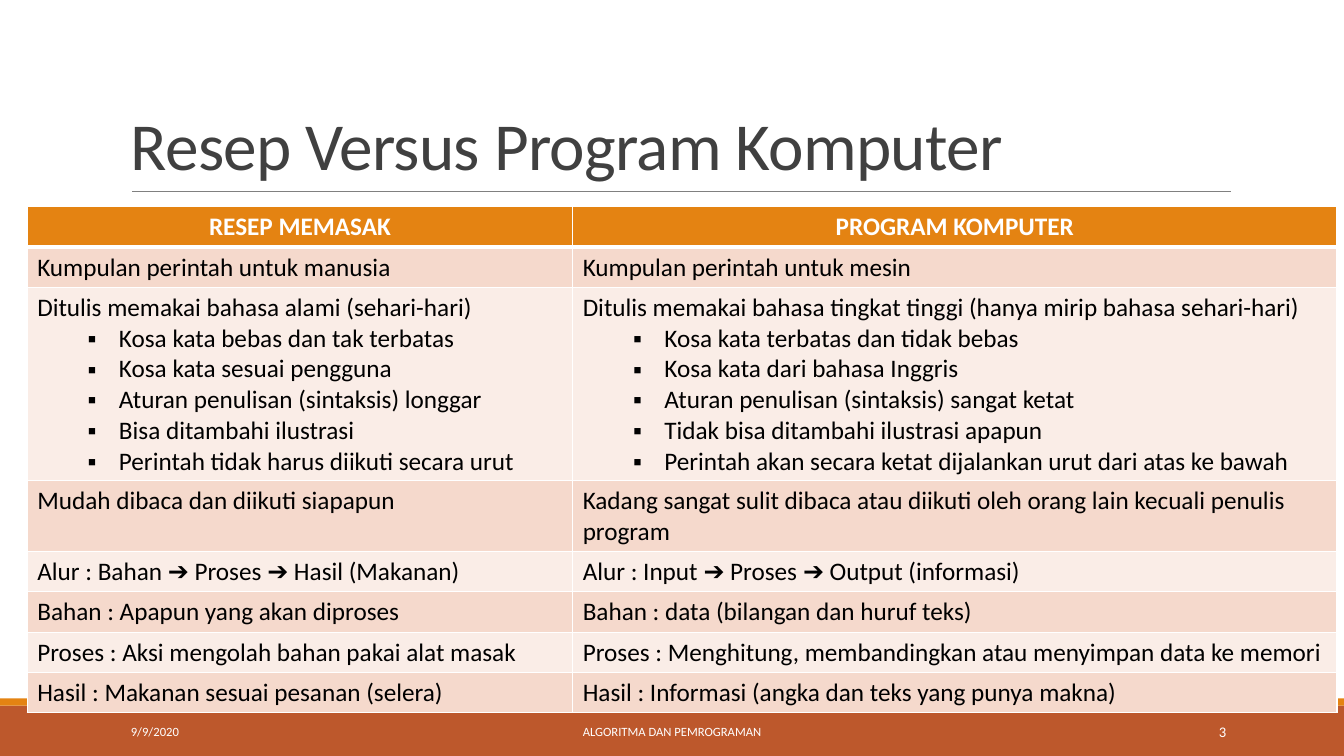
from lxml.etree import SubElement
from pptx import Presentation
from pptx.dml.color import RGBColor
from pptx.enum.shapes import MSO_CONNECTOR, MSO_SHAPE
from pptx.enum.text import MSO_ANCHOR, PP_ALIGN
from pptx.oxml.ns import qn
from pptx.util import Inches, Pt

FONT = "Calibri"
WHITE = RGBColor(0xFF, 0xFF, 0xFF)
BLACK = RGBColor(0, 0, 0)
TITLE_GREY = RGBColor(0x40, 0x40, 0x40)
RULE_GREY = RGBColor(0x80, 0x80, 0x80)
ORANGE = RGBColor(0xE4, 0x83, 0x12)
RUST = RGBColor(0xBD, 0x58, 0x2C)
BANDS = [RGBColor(0xFA, 0xED, 0xE7), RGBColor(0xF5, 0xD9, 0xCC)]

# Each row pairs the recipe with the program; extra list items are bullets
COMPARISON = [
    (["RESEP MEMASAK"], ["PROGRAM KOMPUTER"]),
    (["Kumpulan perintah untuk manusia"], ["Kumpulan perintah untuk mesin"]),
    (["Ditulis memakai bahasa alami (sehari-hari)",
      "Kosa kata bebas dan tak terbatas",
      "Kosa kata sesuai pengguna",
      "Aturan penulisan (sintaksis) longgar",
      "Bisa ditambahi ilustrasi",
      "Perintah tidak harus diikuti secara urut"],
     ["Ditulis memakai bahasa tingkat tinggi (hanya mirip bahasa sehari-hari)",
      "Kosa kata terbatas dan tidak bebas",
      "Kosa kata dari bahasa Inggris",
      "Aturan penulisan (sintaksis) sangat ketat",
      "Tidak bisa ditambahi ilustrasi apapun",
      "Perintah akan secara ketat dijalankan urut dari atas ke bawah"]),
    (["Mudah dibaca dan diikuti siapapun"],
     ["Kadang sangat sulit dibaca atau diikuti oleh orang lain kecuali penulis program"]),
    (["Alur : Bahan ➔ Proses ➔ Hasil (Makanan)"],
     ["Alur : Input ➔ Proses ➔ Output (informasi)"]),
    (["Bahan : Apapun yang akan diproses"],
     ["Bahan : data (bilangan dan huruf teks)"]),
    (["Proses : Aksi mengolah bahan pakai alat masak"],
     ["Proses : Menghitung, membandingkan atau menyimpan data ke memori"]),
    (["Hasil : Makanan sesuai pesanan (selera)"],
     ["Hasil : Informasi (angka dan teks yang punya makna)"]),
]
ROW_HEIGHTS = [0.4, 0.4, 1.92, 0.7, 0.4, 0.4, 0.4, 0.4]
COLUMN_WIDTHS = [5.41, 7.58]


def add_run(paragraph, text, size, color, bold=False):
    run = paragraph.add_run()
    run.text = text
    run.font.name = FONT
    run.font.size = Pt(size)
    run.font.bold = bold
    run.font.color.rgb = color
    return run


def add_text(slide, box, text, size, color, align=PP_ALIGN.LEFT, anchor=MSO_ANCHOR.MIDDLE):
    frame = slide.shapes.add_textbox(*map(Inches, box)).text_frame
    frame.word_wrap = True
    frame.vertical_anchor = anchor
    paragraph = frame.paragraphs[0]
    paragraph.alignment = align
    return paragraph, add_run(paragraph, text, size, color)


def add_bar(slide, box, color):
    bar = slide.shapes.add_shape(MSO_SHAPE.RECTANGLE, *map(Inches, box))
    bar.shadow.inherit = False
    bar.fill.solid()
    bar.fill.fore_color.rgb = color
    bar.line.fill.background()


def add_footer(slide, left, top, width, height):
    # Bars
    add_bar(slide, (left, top + 0.07, width, height - 0.07), RUST)
    add_bar(slide, (left, top, width, 0.07), ORANGE)
    # Date, course and page number
    for offset, field_width, text, size, align in [
            (1.2, 2.7, "9/9/2020", 9, PP_ALIGN.LEFT),
            (4.03, 5.27, "ALGORITMA DAN PEMROGRAMAN", 9, PP_ALIGN.CENTER),
            (10.83, 1.43, "3", 10.5, PP_ALIGN.RIGHT)]:
        add_text(slide, (left + offset, top + 0.13, field_width, 0.4), text, size, WHITE, align)


def add_title(slide, left, top, width, height):
    paragraph, run = add_text(slide, (left, top, width, height),
                              "Resep Versus Program Komputer", 48, TITLE_GREY,
                              anchor=MSO_ANCHOR.BOTTOM)
    paragraph.line_spacing = 0.85
    run.font._element.set("spc", "-50")
    # Rule under the title
    rule_y = Inches(top + height + 0.02)
    rule = slide.shapes.add_connector(MSO_CONNECTOR.STRAIGHT, Inches(left + 0.11), rule_y,
                                      Inches(left + width + 0.01), rule_y)
    rule.line.color.rgb = RULE_GREY
    rule.line.width = Pt(0.5)
    SubElement(rule._element.spPr, qn("a:effectLst"))


def set_borders(cell, row):
    # Thick line between the header and the body
    widths = {"L": 1, "R": 1, "T": 3 if row == 1 else 1, "B": 3 if row == 0 else 1}
    for side, width in widths.items():
        line = SubElement(cell._tc.get_or_add_tcPr(), qn(f"a:ln{side}"), w=str(Pt(width)))
        SubElement(SubElement(line, qn("a:solidFill")), qn("a:srgbClr"), val=str(WHITE))


def add_bullet(paragraph):
    paragraph.level = 1
    properties = paragraph._p.get_or_add_pPr()
    properties.set("marL", str(Inches(0.81)))
    properties.set("indent", str(Inches(-0.31)))
    SubElement(properties, qn("a:buFont"), typeface="Arial")
    SubElement(properties, qn("a:buChar"), char="▪")


def fill_cell(cell, row, lines):
    header = row == 0
    set_borders(cell, row)
    cell.fill.solid()
    cell.fill.fore_color.rgb = ORANGE if header else BANDS[row % 2]
    frame = cell.text_frame
    for index, text in enumerate(lines):
        paragraph = frame.add_paragraph() if index else frame.paragraphs[0]
        if index:
            add_bullet(paragraph)
        if header:
            paragraph.alignment = PP_ALIGN.CENTER
        add_run(paragraph, text, 18, WHITE if header else BLACK, header)


def add_comparison(slide, left, top):
    table = slide.shapes.add_table(
        len(COMPARISON), len(COLUMN_WIDTHS), Inches(left), Inches(top),
        Inches(sum(COLUMN_WIDTHS)), Inches(sum(ROW_HEIGHTS))).table
    for column, width in zip(table.columns, COLUMN_WIDTHS):
        column.width = Inches(width)
    for row, (height, pair) in enumerate(zip(ROW_HEIGHTS, COMPARISON)):
        table.rows[row].height = Inches(height)
        for column, lines in enumerate(pair):
            fill_cell(table.cell(row, column), row, lines)


def main():
    deck = Presentation()
    deck.slide_width, deck.slide_height = Inches(13.33), Inches(7.5)
    slide = deck.slides.add_slide(deck.slide_layouts[6])
    add_footer(slide, 0, 6.93, 13.33, 0.57)
    add_title(slide, 1.2, 0.29, 11, 1.59)
    add_comparison(slide, 0.27, 2.05)
    deck.save("out.pptx")


if __name__ == "__main__":
    main()
